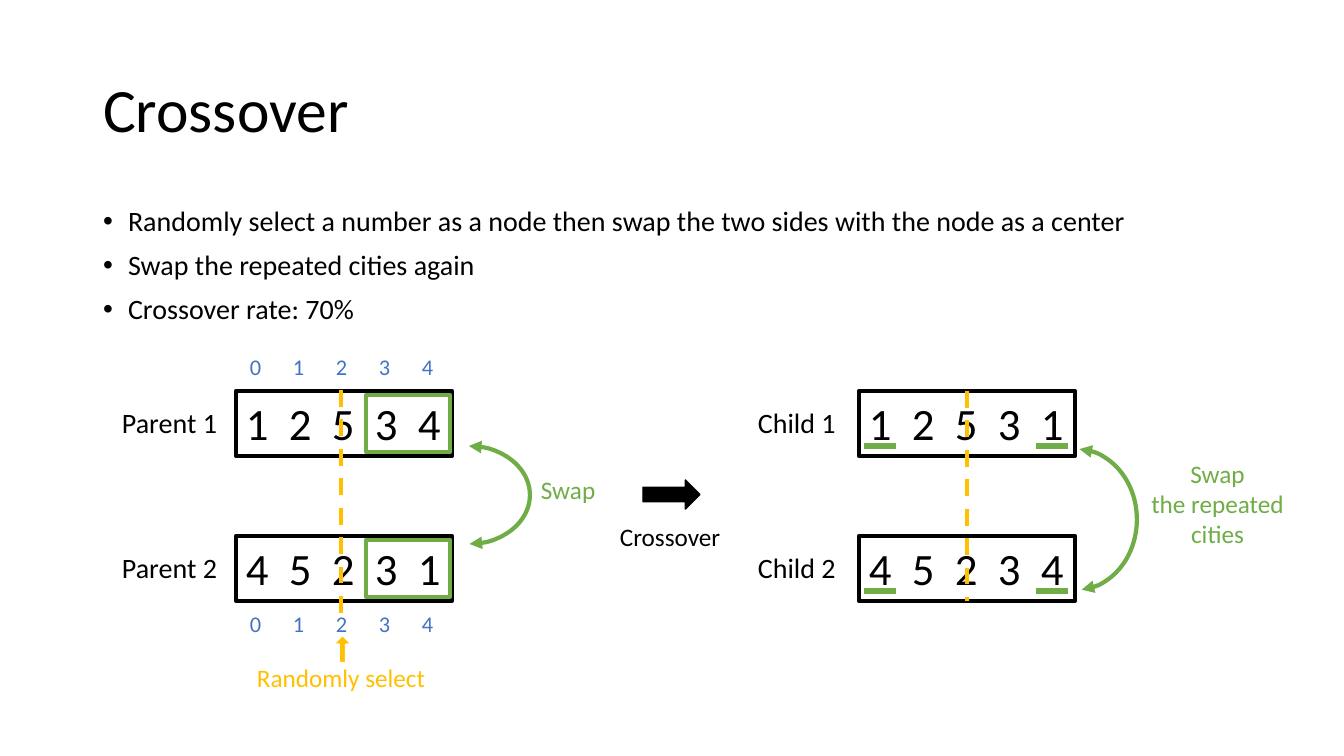
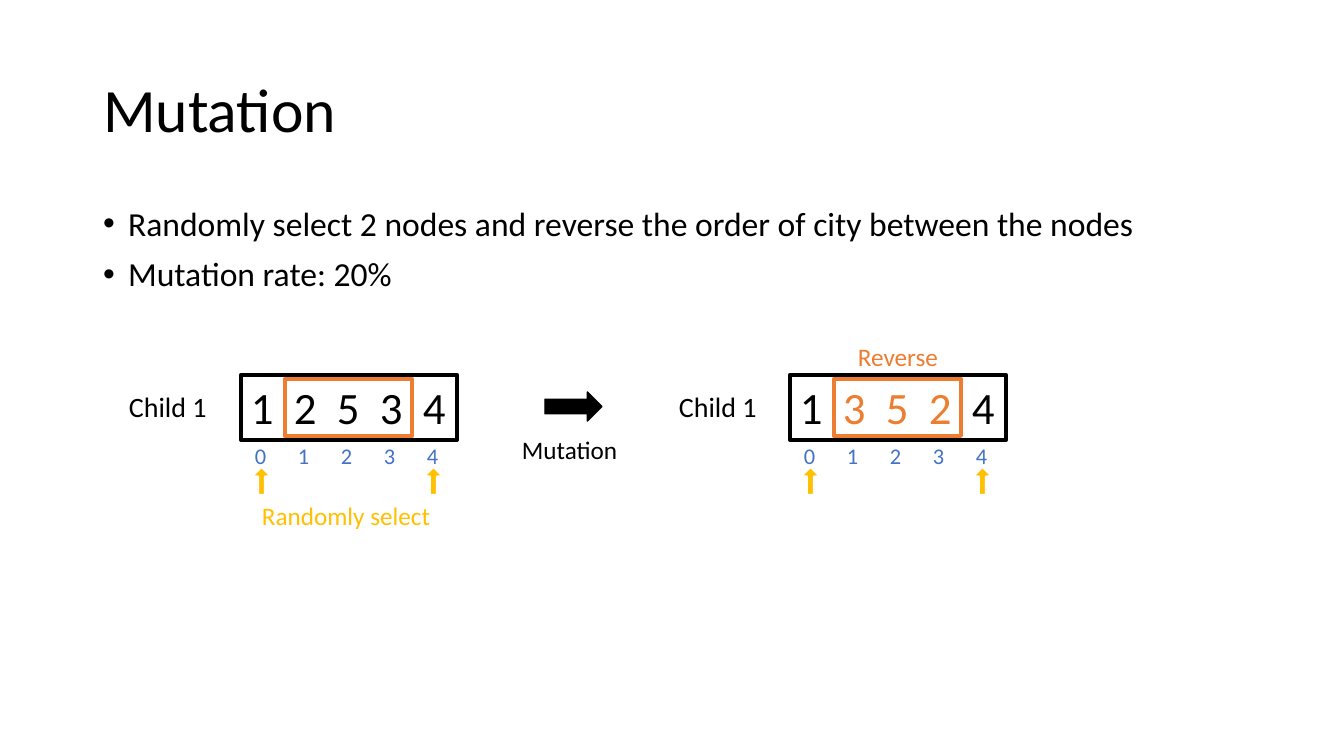
from lxml import etree
from pptx import Presentation
from pptx.dml.color import RGBColor
from pptx.enum.dml import MSO_LINE
from pptx.enum.shapes import MSO_CONNECTOR, MSO_SHAPE
from pptx.enum.text import MSO_ANCHOR, MSO_AUTO_SIZE, PP_ALIGN
from pptx.oxml.ns import qn
from pptx.util import Pt

LEFT, CENTER = PP_ALIGN.LEFT, PP_ALIGN.CENTER
TOP, MIDDLE = MSO_ANCHOR.TOP, MSO_ANCHOR.MIDDLE
FIXED_SIZE = MSO_AUTO_SIZE.NONE
RECTANGLE, ARC = MSO_SHAPE.RECTANGLE, MSO_SHAPE.ARC
RIGHT_ARROW, UP_ARROW = MSO_SHAPE.RIGHT_ARROW, MSO_SHAPE.UP_ARROW
STRAIGHT, DASH = MSO_CONNECTOR.STRAIGHT, MSO_LINE.DASH

EMU_PER_PX = 914400 / 100.8
FONT = "Calibri"
BLACK, WHITE = "000000", "FFFFFF"
GREEN, GOLD, ORANGE, BLUE = "70AD47", "FFC000", "ED7D31", "4472C4"

SLIDE_SIZE = (1344, 756)
TITLE_BOX = (93, 40, 1159, 146)
BODY_LEFT, BODY_TOP, BODY_WIDTH = 93, 202, 1159
BULLET_INDENT = 25
ROW_WIDTH, ROW_HEIGHT = 216, 65
DIGIT_PITCH, FIRST_DIGIT_CENTER = 43, 21
INDEXES = "01234"

SLIDES = [
    {
        "title": "Crossover",
        "bullets": [
            "Randomly select a number as a node then swap the two sides with the node as a center",
            "Swap the repeated cities again",
            "Crossover rate: 70%",
        ],
        "bullet_size": 20,
        "body_height": 130,
        "rows": [
            {"label": "Parent 1", "label_left": 112, "at": (236, 391), "digits": "12534",
             "highlight": (3, 5), "accent": GREEN, "index_top": 348},
            {"label": "Parent 2", "label_left": 112, "at": (236, 536), "digits": "45231",
             "highlight": (3, 5), "accent": GREEN, "index_top": 605, "pointers": [2]},
            {"label": "Child 1", "label_left": 748, "at": (859, 391), "digits": "12531",
             "underlined": [0, 4]},
            {"label": "Child 2", "label_left": 748, "at": (859, 536), "digits": "45234",
             "underlined": [0, 4]},
        ],
        "cuts": [(341, 390, 341, 613), (967, 391, 967, 601)],
        "swap_arcs": [
            ((408, 446, 122, 98), (162, 53.58)),
            ((1015, 449, 122, 141), (163.72, 51.17)),
        ],
        "step_arrow": (643, 480, 57, 29),
        "captions": [
            ("Swap", (531, 469, 78, 40), GREEN, LEFT),
            ("Swap\nthe repeated cities", (1137, 453, 161, 102), GREEN, CENTER),
            ("Crossover", (610, 516, 122, 40), BLACK, LEFT),
            ("Randomly select", (247, 657, 194, 40), GOLD, LEFT),
        ],
    },
    {
        "title": "Mutation",
        "bullets": [
            "Randomly select 2 nodes and reverse the order of city between the nodes",
            "Mutation rate: 20%",
        ],
        "bullet_size": 24,
        "body_height": 480,
        "rows": [
            {"label": "Child 1", "label_left": 119, "at": (241, 375), "digits": "12534",
             "highlight": (1, 4), "accent": ORANGE, "index_top": 437, "pointers": [0, 4]},
            {"label": "Child 1", "label_left": 669, "at": (790, 375), "digits": "13524",
             "highlight": (1, 4), "accent": ORANGE, "recolor": True,
             "index_top": 437, "pointers": [0, 4]},
        ],
        "cuts": [],
        "swap_arcs": [],
        "step_arrow": (545, 392, 57, 29),
        "captions": [
            ("Randomly select", (252, 495, 194, 40), GOLD, LEFT),
            ("Reverse", (833, 336, 130, 40), ORANGE, CENTER),
            ("Mutation", (512, 429, 122, 40), BLACK, LEFT),
        ],
    },
]


def px(value):
    return round(value * EMU_PER_PX)


def rgb(color):
    return RGBColor.from_string(color)


def place(shape, box):
    shape.left, shape.top, shape.width, shape.height = map(px, box)


def write(shape, text, size=18, color=BLACK, align=LEFT, anchor=TOP,
          spacing=1.0, gap=0, bullet=False, tabs=(), colors=None):
    frame = shape.text_frame
    frame.word_wrap = True
    frame.auto_size = FIXED_SIZE
    frame.vertical_anchor = anchor
    if tabs:
        frame.margin_right = 0
    for number, line in enumerate(text.split("\n")):
        paragraph = frame.paragraphs[0] if number == 0 else frame.add_paragraph()
        paragraph.alignment = align
        paragraph.line_spacing = spacing
        paragraph.space_before = Pt(gap if number else 0)
        properties = paragraph._p.get_or_add_pPr()
        if bullet:
            properties.set("marL", str(px(BULLET_INDENT)))
            properties.set("indent", str(-px(BULLET_INDENT)))
            etree.SubElement(properties, qn("a:buFont"), typeface="Arial")
            etree.SubElement(properties, qn("a:buChar"), char="•")
        if tabs:
            tab_list = etree.SubElement(properties, qn("a:tabLst"))
            for position in tabs:
                etree.SubElement(tab_list, qn("a:tab"), pos=str(px(position)), algn="l")
        pieces = zip(line, colors) if colors else [(line, color)]
        for piece, piece_color in pieces:
            run = paragraph.add_run()
            run.text = piece
            run.font.name = FONT
            run.font.size = Pt(size)
            run.font.color.rgb = rgb(piece_color)


def add_text(slide, text, box, **style):
    write(slide.shapes.add_textbox(*map(px, box)), text, **style)


def add_shape(slide, kind, box, line, weight, fill=None, adjustments=()):
    shape = slide.shapes.add_shape(kind, *map(px, box))
    shape.shadow.inherit = False
    if fill:
        shape.fill.solid()
        shape.fill.fore_color.rgb = rgb(fill)
    else:
        shape.fill.background()
    shape.line.color.rgb = rgb(line)
    shape.line.width = Pt(weight)
    for number, value in enumerate(adjustments):
        shape.adjustments[number] = value
    return shape


def add_line(slide, ends, color, weight, dash=None):
    connector = slide.shapes.add_connector(STRAIGHT, *map(px, ends))
    connector.line.color.rgb = rgb(color)
    connector.line.width = Pt(weight)
    if dash:
        connector.line.dash_style = dash
    etree.SubElement(connector._element.spPr, qn("a:effectLst"))


def add_swap_arc(slide, box, angles):
    arc = add_shape(slide, ARC, box, GREEN, 3, adjustments=angles)
    outline = arc._element.spPr.find(qn("a:ln"))
    for end in ("a:headEnd", "a:tailEnd"):
        etree.SubElement(outline, qn(end), type="triangle")


def add_digits(slide, digits, box, size, colors):
    tabs = [DIGIT_PITCH * step for step in range(1, len(digits))]
    tabbed = "\t".join(digits)
    run_colors = [colors[position // 2] for position in range(len(tabbed))]
    add_text(slide, tabbed, box, size=size, tabs=tabs, colors=run_colors)


def add_row(slide, row):
    left, top = row["at"]
    digits = row["digits"]
    colors = [BLACK] * len(digits)
    box = (left, top, ROW_WIDTH, ROW_HEIGHT)
    add_shape(slide, RECTANGLE, box, BLACK, 3, WHITE)
    if "highlight" in row:
        start, stop = row["highlight"]
        width = DIGIT_PITCH * (stop - start) - 2
        add_shape(slide, RECTANGLE, (left + DIGIT_PITCH * start + 1, top + 4, width, 57),
                  row["accent"], 3)
        if row.get("recolor"):
            colors[start:stop] = [row["accent"]] * (stop - start)
    add_digits(slide, digits, box, 32, colors)
    add_text(slide, row["label"], (row["label_left"], top + 10, 142, 44), size=20)
    centers = [left + FIRST_DIGIT_CENTER + DIGIT_PITCH * step for step in range(len(digits))]
    for position in row.get("underlined", []):
        center = centers[position]
        add_line(slide, (center - 16, top + 55, center + 16, top + 55), GREEN, 4.5)
    if "index_top" in row:
        index_top = row["index_top"]
        add_digits(slide, INDEXES, (left + 4, index_top, 211, 37), 16, [BLUE] * len(INDEXES))
        for position in row.get("pointers", []):
            add_shape(slide, UP_ARROW, (centers[position] - 10, index_top + 30, 19, 28),
                      WHITE, 1.5, GOLD, (0.37, 0.5))


def add_slide(presentation, content):
    slide = presentation.slides.add_slide(presentation.slide_layouts[1])
    title, body = slide.placeholders
    place(title, TITLE_BOX)
    write(title, content["title"], size=44, anchor=MIDDLE, spacing=0.9)
    place(body, (BODY_LEFT, BODY_TOP, BODY_WIDTH, content["body_height"]))
    write(body, "\n".join(content["bullets"]), size=content["bullet_size"],
          spacing=0.9, gap=10, bullet=True)
    for row in content["rows"]:
        add_row(slide, row)
    for ends in content["cuts"]:
        add_line(slide, ends, GOLD, 3, DASH)
    for box, angles in content["swap_arcs"]:
        add_swap_arc(slide, box, angles)
    add_shape(slide, RIGHT_ARROW, content["step_arrow"], BLACK, 1, BLACK)
    for text, box, color, align in content["captions"]:
        add_text(slide, text, box, color=color, align=align)


def main():
    presentation = Presentation()
    presentation.slide_width, presentation.slide_height = map(px, SLIDE_SIZE)
    for content in SLIDES:
        add_slide(presentation, content)
    presentation.save("out.pptx")


if __name__ == "__main__":
    main()
